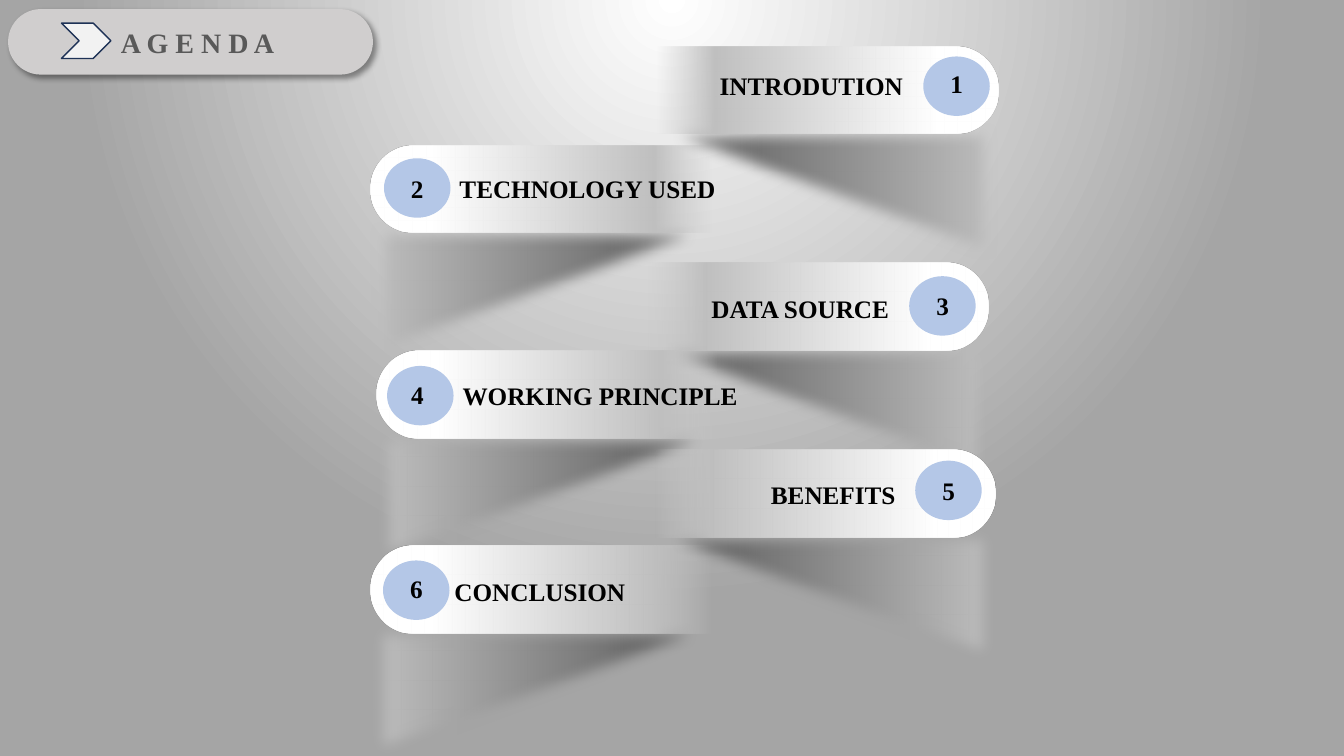
from dataclasses import dataclass
from typing import Optional

from lxml.etree import SubElement
from pptx import Presentation
from pptx.dml.color import RGBColor
from pptx.enum.shapes import MSO_SHAPE
from pptx.enum.text import MSO_ANCHOR, PP_ALIGN
from pptx.oxml.ns import qn
from pptx.util import Emu, Inches, Pt


@dataclass(frozen=True)
class Theme:
    font: str = "Times New Roman"
    title_size: int = 20
    item_size: int = 18
    title: str = "595959"
    text: str = "000000"
    pill: str = "D0CECE"
    chevron: str = "F2F2F2"
    chevron_line: str = "1E3256"
    badge: str = "B4C7E7"
    # Gradient stops: position %, colour, opacity %
    backdrop: tuple = ((0, "FFFFFF", 100), (78, "A5A5A5", 100), (100, "A5A5A5", 100))
    bar: tuple = ((18, "FFFFFF", 100), (83, "BFBFBF", 100), (100, "C9C9C9", 0))
    shade: tuple = ((0, "FFFFFF", 81), (0, "C0C0C0", 100),
                    (58, "757575", 100), (94, "000000", 0))


@dataclass(frozen=True)
class Step:
    number: str
    label: str
    right: bool  # rounded end on the right
    bar: tuple[float, float]
    badge: tuple[float, float]
    label_box: tuple[float, float, float]
    number_at: Optional[tuple[float, float]] = None  # None: inside the badge


THEME = Theme()
BAR_W, BAR_H = 3.38, 0.87
SHADE_W, SHADE_H, SHADE_DROP = 4.04, 1.46, 0.76
BADGE_W, BADGE_H = 0.66, 0.59
TEXT_H = 0.4

# Listed from back to front
STEPS = [
    Step("2", "TECHNOLOGY USED", False, (3.68, 1.44), (3.81, 1.57), (4.46, 1.67, 2.91)),
    Step("1", "INTRODUTION", True, (6.52, 0.46), (9.16, 0.56), (7.04, 0.65, 2.41), (9.33, 0.63)),
    Step("3", "DATA SOURCE", True, (6.43, 2.61), (9.02, 2.74), (6.96, 2.86, 3.62), (9.19, 2.83)),
    Step("4", "WORKING PRINCIPLE", False, (3.74, 3.48), (3.84, 3.63), (4.49, 3.72, 5.51), (3.98, 3.71)),
    Step("6", "CONCLUSION", False, (3.68, 5.41), (3.8, 5.56), (4.41, 5.67, 6.92), (3.97, 5.64)),
    Step("5", "BENEFITS", True, (6.5, 4.46), (9.08, 4.57), (7.55, 4.71, 5.7), (9.25, 4.67)),
]


def set_gradient(fill, element, stops: tuple, angle: Optional[int] = None) -> None:
    """Linear at the given angle, or circular from above the slide without one."""
    fill.gradient()
    grad = next(element.iter(qn("a:gradFill")))
    for child in list(grad):
        grad.remove(child)
    grad.set("rotWithShape", "1")
    stop_list = SubElement(grad, qn("a:gsLst"))
    for pos, color, opacity in stops:
        stop = SubElement(stop_list, qn("a:gs"), pos=str(pos * 1000))
        clr = SubElement(stop, qn("a:srgbClr"), val=color)
        if opacity < 100:
            SubElement(clr, qn("a:alpha"), val=str(opacity * 1000))
    if angle is None:
        circle = SubElement(grad, qn("a:path"), {"path": "circle"})
        SubElement(circle, qn("a:fillToRect"), l="50000", t="-80000", r="50000", b="180000")
    else:
        SubElement(grad, qn("a:lin"), ang=str(angle * 60000), scaled="0")


def add_shape(shapes, kind: MSO_SHAPE, box: tuple, color: Optional[str] = None):
    sp = shapes.add_shape(kind, *map(Inches, box))
    sp.shadow.inherit = False
    sp.line.fill.background()
    if color:
        sp.fill.solid()
        sp.fill.fore_color.rgb = RGBColor.from_string(color)
    return sp


def add_effect(sp, tag: str, **attrs: str):
    effects = next(sp.element.iter(qn("a:effectLst")))
    return SubElement(effects, qn(tag), attrs)


def flip_vertical(sp) -> None:
    next(sp.element.iter(qn("a:xfrm"))).set("flipV", "1")


def write(tf, text: str, size: int, color: str) -> None:
    r = tf.paragraphs[0].add_run()
    r.text = text
    for name, value in {"name": THEME.font, "size": Pt(size), "bold": True}.items():
        setattr(r.font, name, value)
    r.font.color.rgb = RGBColor.from_string(color)


def add_text(shapes, box: tuple, text: str, size: int = THEME.item_size,
             color: str = THEME.text) -> None:
    tf = shapes.add_textbox(*map(Inches, box)).text_frame
    tf.word_wrap = True
    write(tf, text, size, color)


def add_ribbon(shapes, step: Step) -> None:
    """A folded strip: soft triangular shade behind a half-rounded bar."""
    group = shapes.add_group_shape().shapes
    left, top = step.bar
    shade_left = left + BAR_W - SHADE_W if step.right else left
    shade = add_shape(group, MSO_SHAPE.RIGHT_TRIANGLE,
                      (shade_left, top + SHADE_DROP, SHADE_W, SHADE_H))
    set_gradient(shade.fill, shade.element, THEME.shade, 0)
    add_effect(shade, "a:softEdge", rad=str(Pt(10)))

    # The bar is an upright shape turned on its side about its centre
    turn = (BAR_W - BAR_H) / 2
    bar = add_shape(group, MSO_SHAPE.ROUND_2_SAME_RECTANGLE,
                    (left + turn, top - turn, BAR_H, BAR_W))
    bar.adjustments[0], bar.adjustments[1] = 0.488, 0
    bar.rotation = 270
    set_gradient(bar.fill, bar.element, THEME.bar, 90)

    if step.right:
        shade.rotation = 180
        flip_vertical(bar)
    else:
        flip_vertical(shade)


def add_badge(shapes, step: Step) -> None:
    sp = add_shape(shapes, MSO_SHAPE.FLOWCHART_CONNECTOR,
                   (*step.badge, BADGE_W, BADGE_H), THEME.badge)
    if step.number_at:
        add_text(shapes, (*step.number_at, 0.31, TEXT_H), step.number)
    else:
        tf = sp.text_frame
        tf.vertical_anchor = MSO_ANCHOR.MIDDLE
        tf.paragraphs[0].alignment = PP_ALIGN.CENTER
        write(tf, step.number, THEME.item_size, THEME.text)


def add_heading_pill(shapes) -> None:
    pill = add_shape(shapes, MSO_SHAPE.ROUNDED_RECTANGLE, (0.08, 0.09, 3.62, 0.65), THEME.pill)
    pill.adjustments[0] = 0.5
    shadow = add_effect(pill, "a:outerShdw", blurRad=str(Pt(4)), dist=str(Pt(3)),
                        dir=str(45 * 60000), algn="tl", rotWithShape="0")
    clr = SubElement(shadow, qn("a:srgbClr"), val="000000")
    SubElement(clr, qn("a:alpha"), val="40000")


def add_heading(shapes) -> None:
    add_text(shapes, (1.1, 0.2, 1.79, 0.44), "A G E N D A", THEME.title_size, THEME.title)
    chevron = add_shape(shapes, MSO_SHAPE.CHEVRON, (0.61, 0.23, 0.49, 0.35), THEME.chevron)
    chevron.line.color.rgb = RGBColor.from_string(THEME.chevron_line)
    chevron.line.width = Pt(1)


def main() -> None:
    prs = Presentation()
    prs.slide_width, prs.slide_height = Emu(12192000), Inches(7.5)
    s = prs.slides.add_slide(prs.slide_layouts[6])
    set_gradient(s.background.fill, s.element, THEME.backdrop)

    # Ribbons first, then the badges and labels on top
    add_heading_pill(s.shapes)
    for step in STEPS:
        add_ribbon(s.shapes, step)
    for step in STEPS:
        add_badge(s.shapes, step)
    add_heading(s.shapes)
    for step in STEPS:
        add_text(s.shapes, (*step.label_box, TEXT_H), step.label)

    prs.save("out.pptx")


if __name__ == "__main__":
    main()
